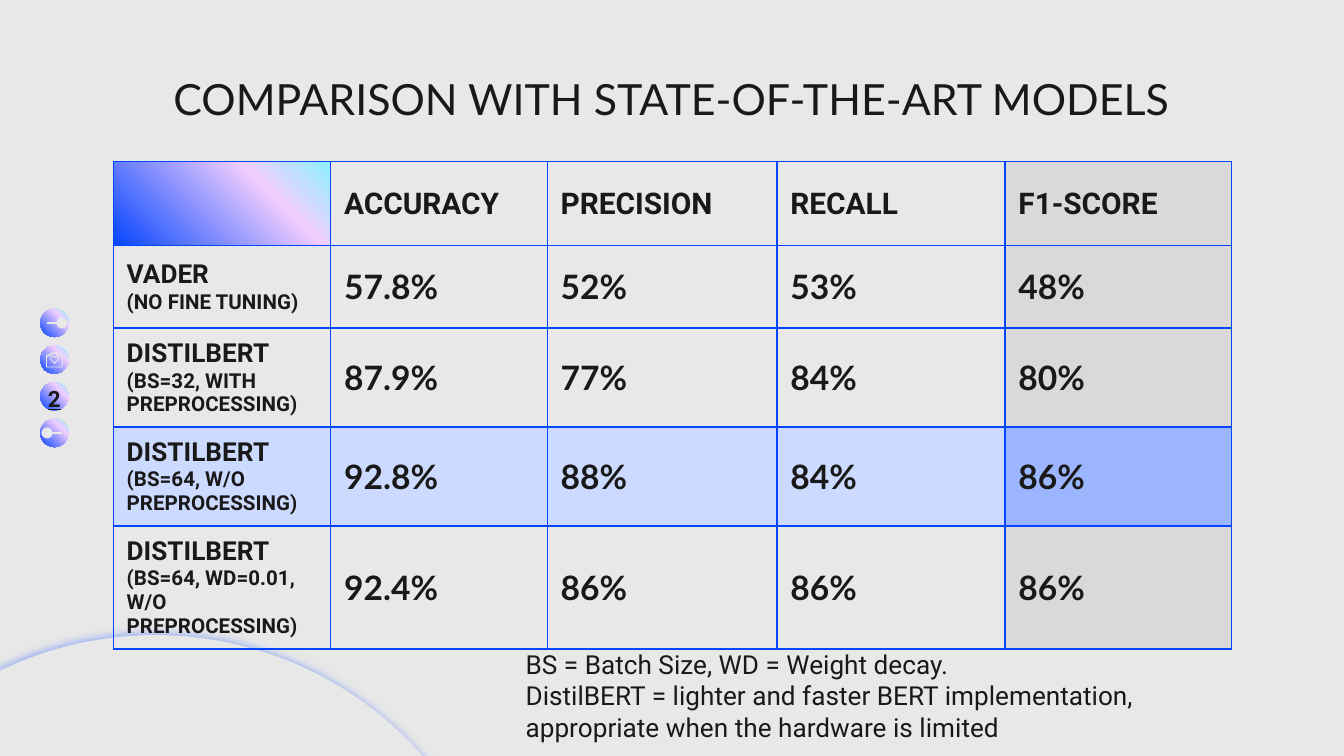
from lxml import etree
from pptx import Presentation
from pptx.dml.color import RGBColor
from pptx.enum.shapes import MSO_CONNECTOR, MSO_SHAPE
from pptx.enum.text import MSO_ANCHOR, PP_ALIGN
from pptx.oxml import parse_xml
from pptx.oxml.ns import nsdecls, qn
from pptx.util import Pt

COLORS = {
    "paper": "E8E8E8", "ink": "191919", "blue": "0445FF", "pink": "F2CEFF",
    "cyan": "8DF1FF", "glow": "4877FF", "score": "D9D9D9",
    "best": "CDDAFF", "best_score": "9BB5FF",
}
TITLE = "COMPARISON WITH STATE-OF-THE-ART MODELS"
METRICS = ["ACCURACY", "PRECISION", "RECALL", "F1-SCORE"]
MODELS = [
    ("VADER", "(NO FINE TUNING)", ["57.8%", "52%", "53%", "48%"]),
    ("DISTILBERT", "(BS=32, WITH PREPROCESSING)", ["87.9%", "77%", "84%", "80%"]),
    ("DISTILBERT", "(BS=64, W/O PREPROCESSING)", ["92.8%", "88%", "84%", "86%"]),
    ("DISTILBERT", "(BS=64, WD=0.01, W/O PREPROCESSING)", ["92.4%", "86%", "86%", "86%"]),
]
BEST_ROW = 3
FOOTNOTES = [
    "BS = Batch Size, WD = Weight decay.",
    "DistilBERT = lighter and faster BERT implementation, "
    "appropriate when the hardware is limited",
]
PAGE_NUMBER = "2"

COLUMN_WIDTHS = [116.5, 116, 123.1, 122.2, 121.2]
HEADER_HEIGHT, ROW_HEIGHT = 45, 44
BUTTON_LEFT, BUTTON_TOP, BUTTON_SIZE, BUTTON_STEP = 21.6, 165.4, 15.2, 19.65
BUTTON_COUNT = 4

# Right halves of symmetric outlines, measured from the button's centre
HOUSE = [
    [(0, -4.4), (4.4, -2.3), (4.4, 4.2), (0, 4.2)],
    [(0, -3.9), (4, -2), (4, -1.6), (0, -3.5)],
    [(0, -3.1), (4, -1.2), (4, 3.8), (0, 3.8)],
]
HEART = [
    [(0, -1.3), (0.6, -1.8), (1.4, -1.9), (2.1, -1.5), (2.4, -0.7), (2.1, 0.1), (0, 2.3)],
    [(0, -0.7), (0.7, -1.4), (1.4, -1.5), (1.9, -1), (1.9, -0.4), (1.6, 0), (0, 1.7)],
]


def color(name):
    return RGBColor.from_string(COLORS[name])


def set_font(paragraph, size, face="Roboto", bold=False):
    font = paragraph.font
    font.size, font.name, font.bold = Pt(size), face, bold
    font.color.rgb = color("ink")


def fill_solid(fill, name):
    fill.solid()
    fill.fore_color.rgb = color(name)


def fill_gradient(fill, properties):
    """Run cyan, pink, blue from top right to bottom left."""
    fill.background()
    stops = "".join(
        f'<a:gs pos="{position * 1000}"><a:srgbClr val="{COLORS[name]}"/></a:gs>'
        for position, name in [(0, "cyan"), (30, "pink"), (100, "blue")])
    gradient = parse_xml(
        f'<a:gradFill {nsdecls("a")} rotWithShape="1"><a:gsLst>{stops}</a:gsLst>'
        '<a:lin ang="8100000" scaled="0"/></a:gradFill>')
    properties.replace(properties.find(qn("a:noFill")), gradient)


def add_borders(cell):
    properties = cell._tc.get_or_add_tcPr()
    for index, side in enumerate(["lnL", "lnR", "lnT", "lnB"]):
        properties.insert(index, parse_xml(
            f'<a:{side} {nsdecls("a")} w="9525"><a:solidFill>'
            f'<a:srgbClr val="{COLORS["blue"]}"/></a:solidFill></a:{side}>'))


def write_cell(cell, lines):
    """Write (text, size, face) lines into a cell."""
    cell.vertical_anchor = MSO_ANCHOR.MIDDLE
    cell.margin_left = cell.margin_right = Pt(7.2)
    cell.margin_top = cell.margin_bottom = Pt(5.4)
    frame = cell.text_frame
    frame.text = "\n".join(text for text, _, _ in lines)
    for paragraph, (_, size, face) in zip(frame.paragraphs, lines):
        set_font(paragraph, size, face, bold=True)


def cell_color(row, column):
    is_score = column == len(METRICS)
    if row == BEST_ROW:
        return "best_score" if is_score else "best"
    return "score" if is_score else None


def add_results(slide):
    header = [[]] + [[(metric, 16, "Roboto")] for metric in METRICS]
    rows = [header] + [
        [[(model, 14, "Roboto"), (setup, 11, "Roboto")]]
        + [[(value, 18, "Lato")] for value in values]
        for model, setup, values in MODELS]
    heights = [HEADER_HEIGHT] + [ROW_HEIGHT] * len(MODELS)
    table = slide.shapes.add_table(
        len(rows), len(COLUMN_WIDTHS), Pt(60.7), Pt(86.7),
        Pt(sum(COLUMN_WIDTHS)), Pt(sum(heights))).table
    table.first_row = table.horz_banding = False
    for column, width in zip(table.columns, COLUMN_WIDTHS):
        column.width = Pt(width)
    for r, row in enumerate(rows):
        table.rows[r].height = Pt(heights[r])
        for c, lines in enumerate(row):
            cell = table.cell(r, c)
            name = cell_color(r, c)
            if not lines:
                fill_gradient(cell.fill, cell._tc.get_or_add_tcPr())
            else:
                write_cell(cell, lines)
                if name:
                    fill_solid(cell.fill, name)
                else:
                    cell.fill.background()
            add_borders(cell)


def add_glow_circle(slide):
    circle = slide.shapes.add_shape(
        MSO_SHAPE.OVAL, Pt(-107.3), Pt(340.6), Pt(380.9), Pt(380.9))
    fill_solid(circle.fill, "paper")
    circle.line.color.rgb = color("paper")
    circle.line.width = Pt(0.75)
    circle._element.spPr.append(parse_xml(
        f'<a:effectLst {nsdecls("a")}><a:outerShdw blurRad="57150" dist="19050" '
        f'dir="13560000" algn="bl" rotWithShape="0"><a:srgbClr val="{COLORS["glow"]}">'
        '<a:alpha val="50000"/></a:srgbClr></a:outerShdw></a:effectLst>'))


def add_button(slide, top):
    button = slide.shapes.add_shape(
        MSO_SHAPE.OVAL, Pt(BUTTON_LEFT), Pt(top), Pt(BUTTON_SIZE), Pt(BUTTON_SIZE))
    button.shadow.inherit = False
    fill_gradient(button.fill, button._element.spPr)
    button.line.fill.background()
    return button


def add_icon(slide, halves, x, y):
    contours = [
        [(Pt(x + dx), Pt(y + dy))
         for dx, dy in half + [(-dx, dy) for dx, dy in half[-2:0:-1]]]
        for half in halves]
    builder = slide.shapes.build_freeform(*contours[0][0], scale=1.0)
    for index, points in enumerate(contours):
        if index:
            builder.move_to(*points[0])
        builder.add_line_segments(points[1:], close=True)
    icon = builder.convert_to_shape()
    icon.shadow.inherit = False
    fill_solid(icon.fill, "paper")
    icon.line.fill.background()


def add_arrow(slide, x, y, dot_end):
    """Draw a short line with a dot at its headEnd or tailEnd."""
    arrow = slide.shapes.add_connector(
        MSO_CONNECTOR.STRAIGHT, Pt(x - 4), Pt(y), Pt(x + 4), Pt(y))
    arrow.line.color.rgb = color("paper")
    arrow.line.width = Pt(0.75)
    etree.SubElement(arrow.line._get_or_add_ln(), qn(f"a:{dot_end}"), type="oval")
    etree.SubElement(arrow._element.spPr, qn("a:effectLst"))


def add_navigation(slide):
    tops = [BUTTON_TOP + BUTTON_STEP * index for index in range(BUTTON_COUNT)]
    buttons = [add_button(slide, top) for top in tops]
    x = BUTTON_LEFT + BUTTON_SIZE / 2
    next_y, home_y, _, back_y = [top + BUTTON_SIZE / 2 for top in tops]
    add_arrow(slide, x, next_y, "tailEnd")
    add_icon(slide, HOUSE, x, home_y)
    add_icon(slide, HEART, x, home_y)
    add_arrow(slide, x, back_y, "headEnd")

    frame = buttons[2].text_frame
    frame.margin_left = frame.margin_right = frame.margin_top = frame.margin_bottom = 0
    frame.vertical_anchor = MSO_ANCHOR.MIDDLE
    frame.word_wrap = True
    frame.text = PAGE_NUMBER
    number = frame.paragraphs[0]
    number.alignment, number.line_spacing = PP_ALIGN.CENTER, 1.15
    set_font(number, 12, bold=True)
    number.font.underline = True


def write_box(box, lines, size, face, alignment):
    frame = box.text_frame
    frame.word_wrap = True
    frame.vertical_anchor = MSO_ANCHOR.MIDDLE
    frame.margin_left = frame.margin_right = frame.margin_top = frame.margin_bottom = Pt(7.2)
    frame.text = "\n".join(lines)
    for paragraph in frame.paragraphs:
        paragraph.alignment = alignment
        set_font(paragraph, size, face)


def main():
    deck = Presentation()
    deck.slide_width, deck.slide_height = Pt(720), Pt(405)
    slide = deck.slides.add_slide(deck.slide_layouts[5])
    fill_solid(slide.background.fill, "paper")

    title = slide.shapes.title
    title.left, title.top, title.width, title.height = Pt(56.7), Pt(30.4), Pt(606.6), Pt(45.1)
    write_box(title, [TITLE], 23, "Lato", PP_ALIGN.CENTER)

    add_glow_circle(slide)
    add_results(slide)
    add_navigation(slide)
    footnote = slide.shapes.add_textbox(Pt(274.5), Pt(344.9), Pt(349.2), Pt(55.4))
    write_box(footnote, FOOTNOTES, 14, "Roboto", PP_ALIGN.LEFT)
    deck.save("out.pptx")


if __name__ == "__main__":
    main()
